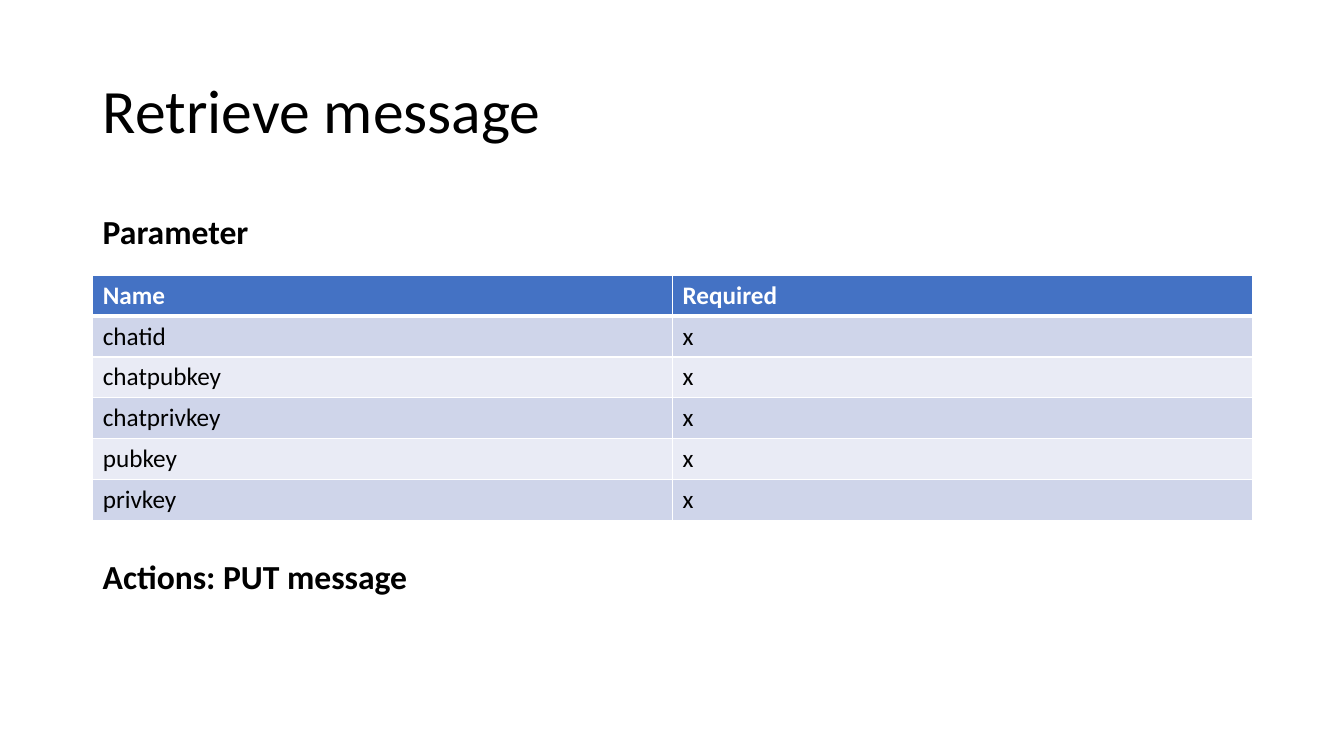
from dataclasses import dataclass

from lxml.etree import SubElement
from pptx import Presentation
from pptx.dml.color import RGBColor
from pptx.enum.text import MSO_ANCHOR, MSO_AUTO_SIZE, PP_ALIGN
from pptx.oxml.ns import qn
from pptx.util import Inches, Pt

FONT = "Calibri"
BLACK, WHITE = "000000", "FFFFFF"
HEADER_FILL = "4472C4"
BAND_FILLS = ("CFD5EA", "E9EBF5")
LEFT, WIDTH = Inches(0.92), Inches(11.5)
ROW_HEIGHT = Inches(2.43 / 6)


@dataclass
class Heading:
    text: str
    top: float


HEADINGS = [Heading("Parameter", 2.04), Heading("Actions: PUT message", 5.47)]
PARAMETERS = ["chatid", "chatpubkey", "chatprivkey", "pubkey", "privkey"]
ROWS = [("Name", "Required")] + [(name, "x") for name in PARAMETERS]


def rgb(color: str) -> RGBColor:
    return RGBColor.from_string(color)


def style(paragraph, size: float, color: str = BLACK, bold: bool = False) -> None:
    font = paragraph.font
    font.name, font.size, font.bold = FONT, Pt(size), bold
    font.color.rgb = rgb(color)


def add_heading(slide, heading: Heading) -> None:
    box = slide.shapes.add_textbox(LEFT, Inches(heading.top), Inches(3.45), Inches(0.5))
    frame = box.text_frame
    frame.word_wrap = True
    frame.auto_size = MSO_AUTO_SIZE.SHAPE_TO_FIT_TEXT
    frame.text = heading.text
    style(frame.paragraphs[0], 24, bold=True)


def add_borders(cell, top: float, bottom: float) -> None:
    properties = cell._tc.get_or_add_tcPr()
    for side, width in (("L", 1), ("R", 1), ("T", top), ("B", bottom)):
        line = SubElement(properties, qn(f"a:ln{side}"), w=str(Pt(width)))
        fill = SubElement(line, qn("a:solidFill"))
        SubElement(fill, qn("a:srgbClr"), val=WHITE)


def fill_cell(cell, text: str, row: int) -> None:
    is_header = row == 0
    # Borders come before the fill in the cell properties
    add_borders(cell, top=3 if row == 1 else 1, bottom=3 if is_header else 1)
    cell.fill.solid()
    cell.fill.fore_color.rgb = rgb(HEADER_FILL if is_header else BAND_FILLS[(row - 1) % 2])
    cell.text = text
    style(cell.text_frame.paragraphs[0], 18, WHITE if is_header else BLACK, is_header)


presentation = Presentation()
presentation.slide_width, presentation.slide_height = Inches(13.33), Inches(7.5)
slide = presentation.slides.add_slide(presentation.slide_layouts[5])

# Title
title = slide.shapes.title
title.left, title.top, title.width, title.height = LEFT, Inches(0.4), WIDTH, Inches(1.45)
title.text_frame.text = "Retrieve message"
title.text_frame.vertical_anchor = MSO_ANCHOR.MIDDLE
title_line = title.text_frame.paragraphs[0]
title_line.alignment = PP_ALIGN.LEFT
title_line.line_spacing = 0.9
style(title_line, 44)

# Parameter table
parameters = slide.shapes.add_table(
    len(ROWS), 2, LEFT, Inches(2.73), WIDTH, ROW_HEIGHT * len(ROWS)
).table
for row, texts in enumerate(ROWS):
    for column, text in enumerate(texts):
        fill_cell(parameters.cell(row, column), text, row)

# Section headings
for heading in HEADINGS:
    add_heading(slide, heading)

presentation.save("out.pptx")
